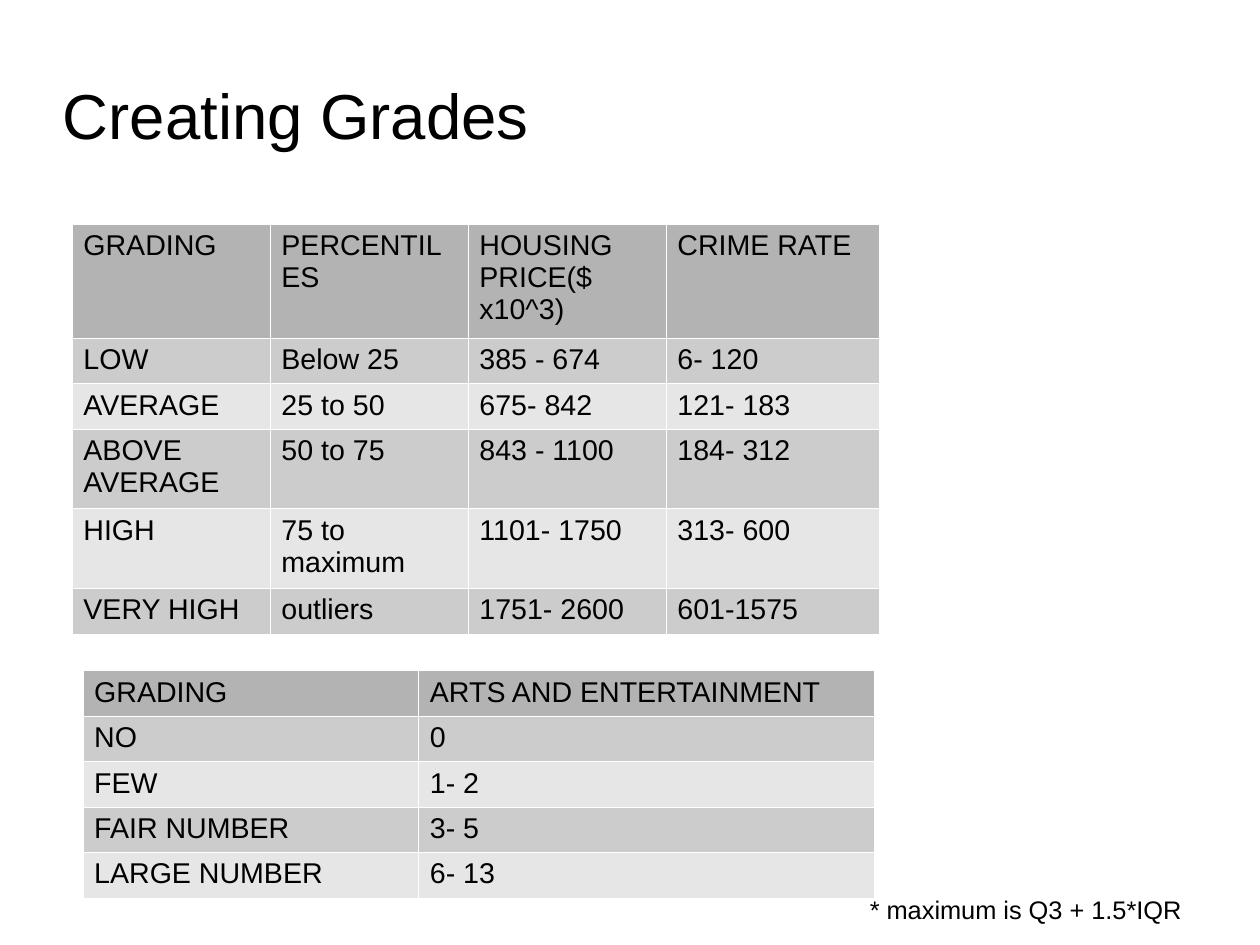
from lxml.etree import SubElement
from pptx import Presentation
from pptx.dml.color import RGBColor
from pptx.enum.text import MSO_ANCHOR, PP_ALIGN
from pptx.oxml.ns import qn
from pptx.util import Cm, Pt

BLACK = RGBColor(0x00, 0x00, 0x00)
HEADER = RGBColor(0xB3, 0xB3, 0xB3)
BANDS = (RGBColor(0xCC, 0xCC, 0xCC), RGBColor(0xE6, 0xE6, 0xE6))
BORDER = RGBColor(0xFF, 0xFF, 0xFF)

TITLE = "Creating Grades"
FOOTNOTE = "* maximum is Q3 + 1.5*IQR"

# Places and sizes in centimetres; "lines" is the text line count of each row
TABLES = [
    {
        "at": (1.6, 4.98),
        "columns": (4.4, 4.4, 4.4, 4.74),
        "lines": (3, 1, 1, 2, 2, 1),
        "rows": [
            ("GRADING", "PERCENTILES", "HOUSING PRICE($ x10^3)", "CRIME RATE"),
            ("LOW", "Below 25", "385 - 674", "6- 120"),
            ("AVERAGE", "25 to 50", "675- 842", "121- 183"),
            ("ABOVE AVERAGE", "50 to 75", "843 - 1100", "184- 312"),
            ("HIGH", "75 to maximum", "1101- 1750", "313- 600"),
            ("VERY HIGH", "outliers", "1751- 2600", "601-1575"),
        ],
    },
    {
        "at": (1.84, 14.9),
        "columns": (7.46, 10.13),
        "lines": (1, 1, 1, 1, 1),
        "rows": [
            ("GRADING", "ARTS AND ENTERTAINMENT"),
            ("NO", "0"),
            ("FEW", "1- 2"),
            ("FAIR NUMBER", "3- 5"),
            ("LARGE NUMBER", "6- 13"),
        ],
    },
]
LINE_HEIGHT, ROW_PADDING = 0.76, 0.25


def write(tf, text, size, align=PP_ALIGN.LEFT):
    p = tf.paragraphs[0]
    p.alignment = align
    r = p.add_run()
    r.text = text
    for name, value in {"name": "Arial", "size": Pt(size), "bold": False}.items():
        setattr(r.font, name, value)
    r.font.color.rgb = BLACK


def format_frame(tf):
    """Centre the text vertically, with wrapping and no insets."""
    frame = {"word_wrap": True, "vertical_anchor": MSO_ANCHOR.MIDDLE,
             "margin_left": 0, "margin_right": 0, "margin_top": 0, "margin_bottom": 0}
    for name, value in frame.items():
        setattr(tf, name, value)


def add_borders(cell):
    tc_pr = cell._tc.get_or_add_tcPr()
    for side in ("lnL", "lnR", "lnT", "lnB"):
        ln = SubElement(tc_pr, qn(f"a:{side}"), w=str(Pt(0.06)))
        fill = SubElement(ln, qn("a:solidFill"))
        SubElement(fill, qn("a:srgbClr"), val=str(BORDER))


def add_grade_table(s, at, columns, lines, rows):
    heights = [Cm(ROW_PADDING + LINE_HEIGHT * n) for n in lines]
    left, top = at
    table = s.shapes.add_table(len(rows), len(columns), Cm(left), Cm(top),
                               Cm(sum(columns)), sum(heights)).table
    table.first_row = table.horz_banding = False
    for column, width in zip(table.columns, columns):
        column.width = Cm(width)
    for i, (row, height, texts) in enumerate(zip(table.rows, heights, rows)):
        row.height = height
        for cell, text in zip(row.cells, texts):
            add_borders(cell)
            cell.fill.solid()
            cell.fill.fore_color.rgb = BANDS[(i - 1) % 2] if i else HEADER
            write(cell.text_frame, text, 18)


def main():
    prs = Presentation()
    prs.slide_width, prs.slide_height = Cm(28), Cm(21)
    s = prs.slides.add_slide(prs.slide_layouts[5])

    title = s.shapes.title
    title.left, title.top, title.width, title.height = Cm(1.4), Cm(0.8), Cm(19.5), Cm(3.45)
    format_frame(title.text_frame)
    write(title.text_frame, TITLE, 40)

    for grades in TABLES:
        add_grade_table(s, **grades)

    note = s.shapes.add_textbox(Cm(11.43), Cm(19.56), Cm(22.73), Cm(1.3))
    format_frame(note.text_frame)
    write(note.text_frame, FOOTNOTE, 16, PP_ALIGN.CENTER)

    prs.save("out.pptx")


if __name__ == "__main__":
    main()
